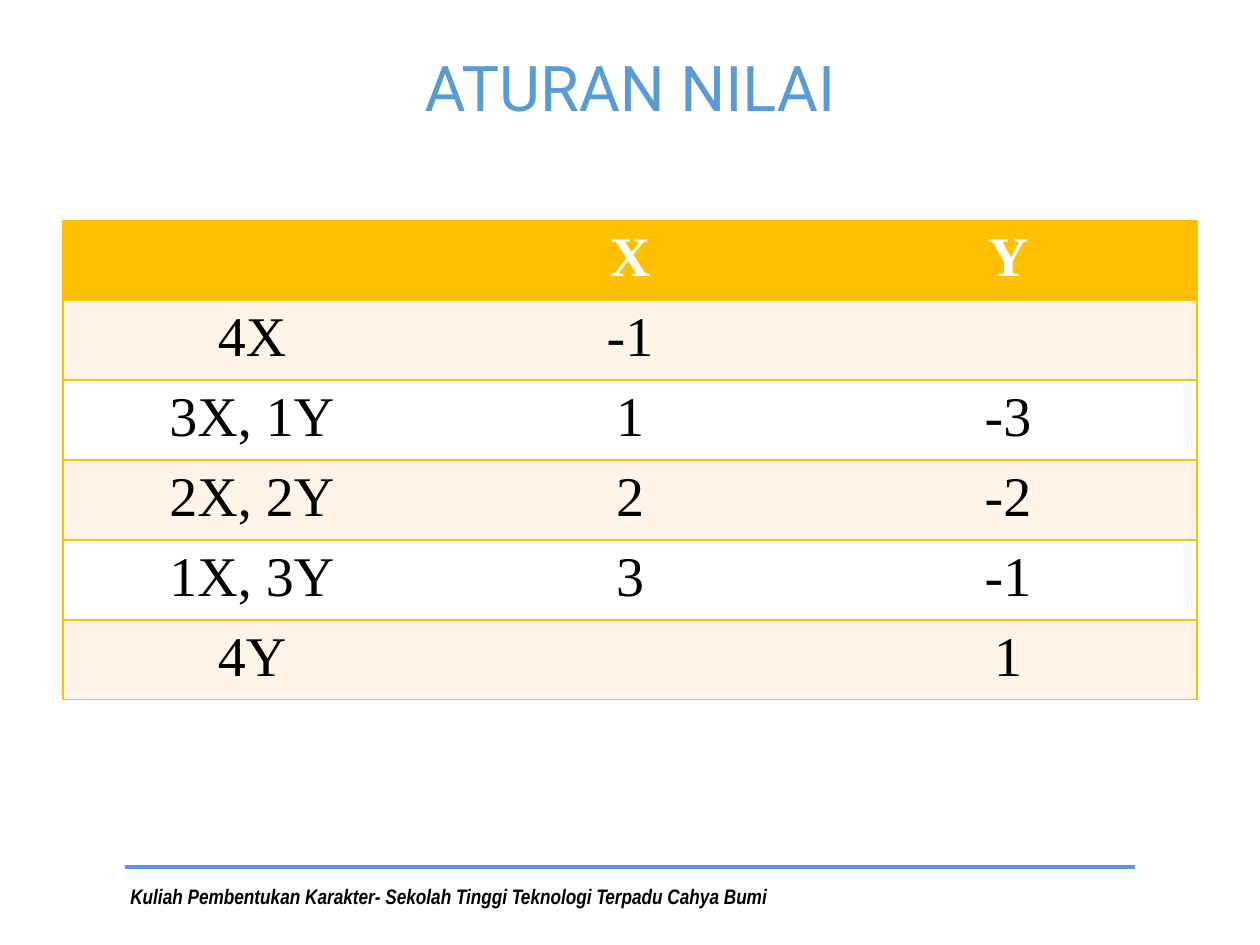
from pptx import Presentation
from pptx.dml.color import RGBColor
from pptx.enum.text import MSO_ANCHOR as Anchor, PP_ALIGN as Align
from pptx.oxml.ns import qn
from pptx.util import Inches, Pt
from lxml.etree import SubElement

# Content
TITLE = "ATURAN NILAI"
FOOTER = "Kuliah Pembentukan Karakter- Sekolah Tinggi Teknologi Terpadu Cahya Bumi"
ROWS = [
    ("", "X", "Y"),
    ("4X", "-1", ""),
    ("3X, 1Y", "1", "-3"),
    ("2X, 2Y", "2", "-2"),
    ("1X, 3Y", "3", "-1"),
    ("4Y", "", "1"),
]
BLUE, GOLD, CREAM, WHITE, BLACK = "5B9BD5", "FFC000", "FFF4E7", "FFFFFF", "000000"
COL_W, ROW_H = 3, 0.63


def color(value):
    return RGBColor.from_string(value)


def write(frame, text, font, size, shade, bold=False, italic=False):
    frame.text = text
    para = frame.paragraphs[0]
    para.alignment = Align.CENTER
    for run in para.runs:
        face = run.font
        face.name, face.size = font, Pt(size)
        face.bold, face.italic = bold, italic
        face.color.rgb = color(shade)
    return para


def add_text(slide, box, *style, wrap=True, **flags):
    frame = slide.shapes.add_textbox(*map(Inches, box)).text_frame
    frame.word_wrap = wrap
    return frame, write(frame, *style, **flags)


def edge(cell, side, shade=None):
    line = SubElement(cell._tc.get_or_add_tcPr(), qn("a:ln" + side), w=str(Pt(1)))
    if shade:
        fill = SubElement(line, qn("a:solidFill"))
        SubElement(fill, qn("a:srgbClr"), val=shade)
    else:
        SubElement(line, qn("a:noFill"))


prs = Presentation()
prs.slide_width, prs.slide_height = Inches(10), Inches(7.5)
slide = prs.slides.add_slide(prs.slide_layouts[6])

# Footer with its rule
frame, _ = add_text(slide, (0.9, 6.95, 5.33, 0.33), FOOTER, "Arial Narrow", 12,
                    BLACK, wrap=False, bold=True, italic=True)
frame.vertical_anchor = Anchor.MIDDLE
rule = slide.shapes.add_connector(1, *map(Inches, (0.99, 6.88, 9.01, 6.88)))
rule.line.color.rgb = color(BLUE)
rule.line.width = Pt(2.25)
SubElement(rule._element.spPr, qn("a:effectLst"))

# Title
_, para = add_text(slide, (0.69, 0.4, 8.62, 1.45), TITLE, "Roboto", 36, BLUE)
para.line_spacing = 0.9

# Score table: outer frame and row lines, no inner column lines
count, last = len(ROWS), len(ROWS[0]) - 1
size = (0.5, 1.75, COL_W * (last + 1), ROW_H * count)
table = slide.shapes.add_table(count, last + 1, *map(Inches, size)).table
for r, row in enumerate(ROWS):
    table.rows[r].height = Inches(ROW_H)
    head = r == 0
    back = GOLD if head else CREAM if r % 2 else WHITE
    for c, text in enumerate(row):
        cell = table.cell(r, c)
        edge(cell, "L", GOLD if c == 0 else None)
        edge(cell, "R", GOLD if c == last else None)
        edge(cell, "T", GOLD)
        edge(cell, "B", GOLD)
        cell.fill.solid()
        cell.fill.fore_color.rgb = color(back)
        write(cell.text_frame, text, "Times New Roman", 32,
              WHITE if head else BLACK, bold=head)

prs.save("out.pptx")
